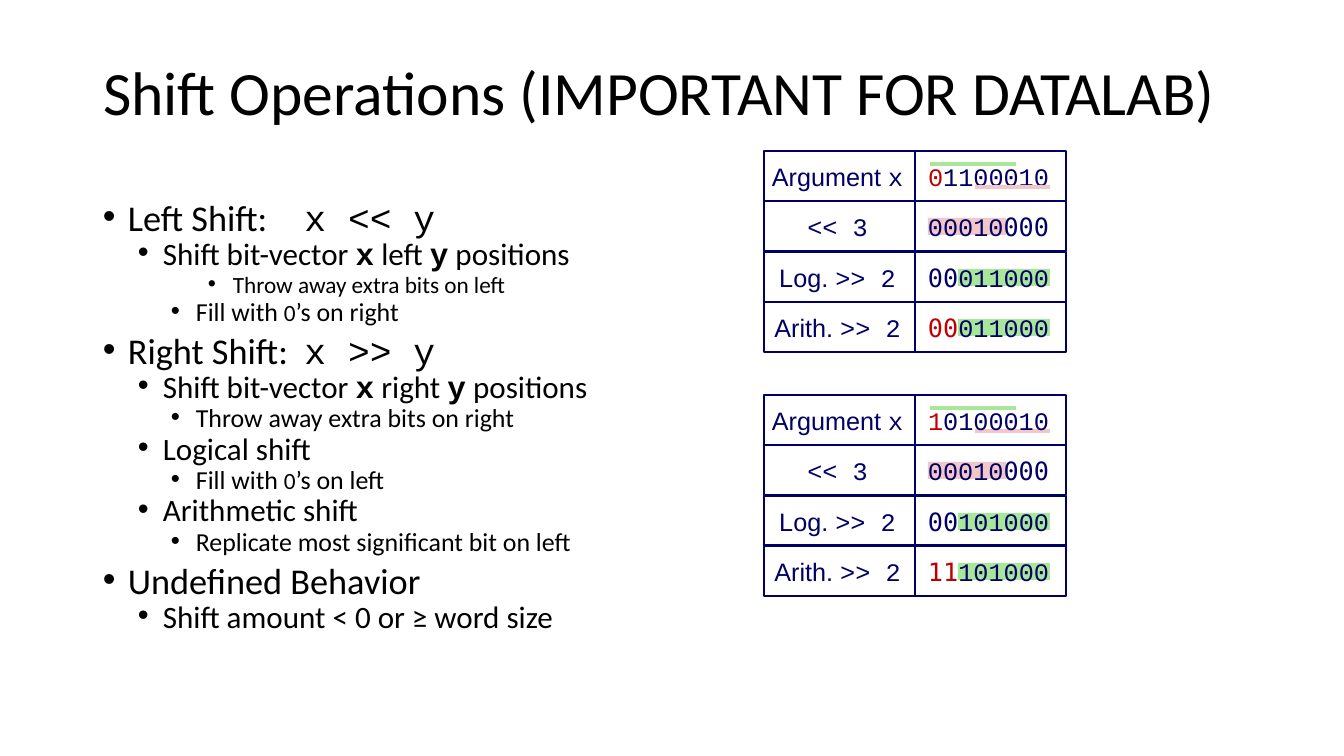
from pptx import Presentation
from pptx import util as u
from pptx.dml.color import RGBColor
from pptx.enum import shapes, text
from pptx.oxml import parse_xml
from pptx.oxml.ns import nsdecls

SCALE = 914400 / 100.8
SANS, BODY, CODE, MONO = "Arial", "Calibri", "Courier New", "DejaVu Sans Mono"
NAVY, RED, GREEN, PINK, BLACK = "000066", "C00000", "A8E799", "F1C7C7", "000000"


def px(n):
    """Turn pixels into EMU."""
    return u.Emu(round(n * SCALE))


def paint(code):
    """Turn a hex string into a colour."""
    return RGBColor.from_string(code)


class Deck:
    """Holds the style and the current slide."""

    # level: left indent, space before, main style, style between bars
    levels = {
        0: (25, 10, (BODY, 25.9, False), (CODE, 25.9, False)),
        1: (60, 5, (BODY, 22.2, False), (CODE, 22.2, True)),
        2: (93, 5, (BODY, 18.5, False), (BODY, 16.6, False)),
        3: (130, 5, (BODY, 16.6, False), (CODE, 16.6, False)),
    }
    hang = 25
    line = 2

    def __init__(self):
        """Start a presentation with one title-only slide."""
        self.prs = Presentation()
        self.prs.slide_width, self.prs.slide_height = px(1344), px(756)
        self.slide = self.prs.slides.add_slide(self.prs.slide_layouts[5])

    def style(self, run, font, size, hue, bold=False):
        """Format one run."""
        run.font.name, run.font.size, run.font.bold = font, u.Pt(size), bold
        run.font.color.rgb = paint(hue)

    def title(self, words, x, y, w, h):
        """Place and format the title."""
        box = self.slide.shapes.title
        box.left, box.top, box.width, box.height = map(px, (x, y, w, h))
        frame = box.text_frame
        frame.text = words
        frame.auto_size = text.MSO_AUTO_SIZE.NONE
        frame.vertical_anchor = text.MSO_ANCHOR.MIDDLE
        par = frame.paragraphs[0]
        par.alignment, par.line_spacing = text.PP_ALIGN.LEFT, 0.9
        self.style(par.runs[0], BODY, 44, BLACK)

    def bullets(self, items, x, y, w, h):
        """Add a bulleted outline; bars set off a level's second style."""
        frame = self.slide.shapes.add_textbox(*map(px, (x, y, w, h))).text_frame
        frame.word_wrap = True
        for i, (level, words) in enumerate(items):
            par = frame.add_paragraph() if i else frame.paragraphs[0]
            left, before, *looks = self.levels[level]
            par.level, par.line_spacing, par.space_before = level, 0.7, u.Pt(before)
            props = par._p.get_or_add_pPr()
            props.set("marL", str(px(left)))
            props.set("indent", str(-px(self.hang)))
            props.append(parse_xml(f'<a:buFont {nsdecls("a")} typeface="Arial"/>'))
            props.append(parse_xml(f'<a:buChar {nsdecls("a")} char="•"/>'))
            for j, part in enumerate(words.split("|")):
                if part:
                    run = par.add_run()
                    run.text = part
                    font, size, bold = looks[j % 2]
                    self.style(run, font, size, BLACK, bold)

    def rect(self, x, y, w, h, fill=None):
        """Add a filled rectangle, or an outlined one without fill."""
        box = self.slide.shapes.add_shape(
            shapes.MSO_SHAPE.RECTANGLE, *map(px, (x, y, w, h)))
        box.shadow.inherit = False
        if fill:
            box.fill.solid()
            box.fill.fore_color.rgb = paint(fill)
            box.line.fill.background()
        else:
            box.fill.background()
            box.line.color.rgb, box.line.width = paint(NAVY), u.Pt(self.line)
        return box

    def cell(self, x, y, w, h, parts):
        """Add an outlined cell with centred runs of text, font and colour."""
        frame = self.rect(x, y, w, h).text_frame
        frame.margin_left = frame.margin_top = frame.margin_bottom = px(6)
        frame.margin_right = px(10)
        frame.word_wrap = False
        frame.vertical_anchor = text.MSO_ANCHOR.MIDDLE
        par = frame.paragraphs[0]
        par.alignment = text.PP_ALIGN.CENTER
        for words, font, hue in parts:
            run = par.add_run()
            run.text = words
            self.style(run, font, 18, hue)

    def rule(self, x, y, end, hue):
        """Add a thick horizontal line."""
        bar = self.slide.shapes.add_connector(
            shapes.MSO_CONNECTOR.STRAIGHT, *map(px, (x, y, end, y)))
        bar.line.color.rgb, bar.line.width = paint(hue), u.Pt(3)
        bar._element.spPr.append(parse_xml(f'<a:effectLst {nsdecls("a")}/>'))


LEFT, WIDE, ROW = 764, 151, 50.4
LABELS = [("Argument ", "x"), ("", "<< 3"), ("Log. ", ">> 2"), ("Arith. ", ">> 2")]
BANDS = [(928, 78, PINK), (958, 92, GREEN), (958, 92, GREEN)]


def rules(deck, top):
    """Mark the bits that each shift keeps."""
    deck.rule(975, top + 36, 1050, PINK)
    deck.rule(930, top + 13, 1016, GREEN)


def grid(deck, top, bits):
    """Draw one worked example of the three shifts."""
    sign, kept, low = bits[0], bits[:6], bits[3:]
    values = [
        [(sign, CODE, RED), (bits[1:], CODE, NAVY)],
        [(low, CODE, NAVY), ("000", MONO, NAVY)],
        [("00", MONO, NAVY), (kept, CODE, NAVY)],
        [(sign * 2, MONO, RED), (kept, CODE, NAVY)],
    ]
    for i, (x, w, hue) in enumerate(BANDS, 1):
        deck.rect(x, top + round(ROW * i) + 17, w, 17, hue)
    for i, ((name, code), value) in enumerate(zip(LABELS, values)):
        label = [(name, SANS, NAVY)] if name else []
        label.append((code, CODE, NAVY))
        for j, parts in enumerate((label, value)):
            deck.cell(LEFT + j * WIDE, top + round(ROW * i), WIDE, round(ROW), parts)


OUTLINE = [
    (0, "Left Shift: \t|x << y"),
    (1, "Shift bit-vector |x| left |y| positions"),
    (3, "Throw away extra bits on left"),
    (2, "Fill with |0|’s on right"),
    (0, "Right Shift: \t|x >> y"),
    (1, "Shift bit-vector |x| right |y| positions"),
    (2, "Throw away extra bits on right"),
    (1, "Logical shift"),
    (2, "Fill with |0|’s on left"),
    (1, "Arithmetic shift"),
    (2, "Replicate most significant bit on left"),
    (0, "Undefined Behavior"),
    (1, "Shift amount < 0 or ≥ word size"),
]
FIRST, SECOND = 151, 395

deck = Deck()
deck.title("Shift Operations (IMPORTANT FOR DATALAB)", 93, 42, 1159, 107)
deck.bullets(OUTLINE, 93, 202, 1159, 480)
rules(deck, SECOND)
grid(deck, FIRST, "01100010")
grid(deck, SECOND, "10100010")
rules(deck, FIRST)
deck.prs.save("out.pptx")
